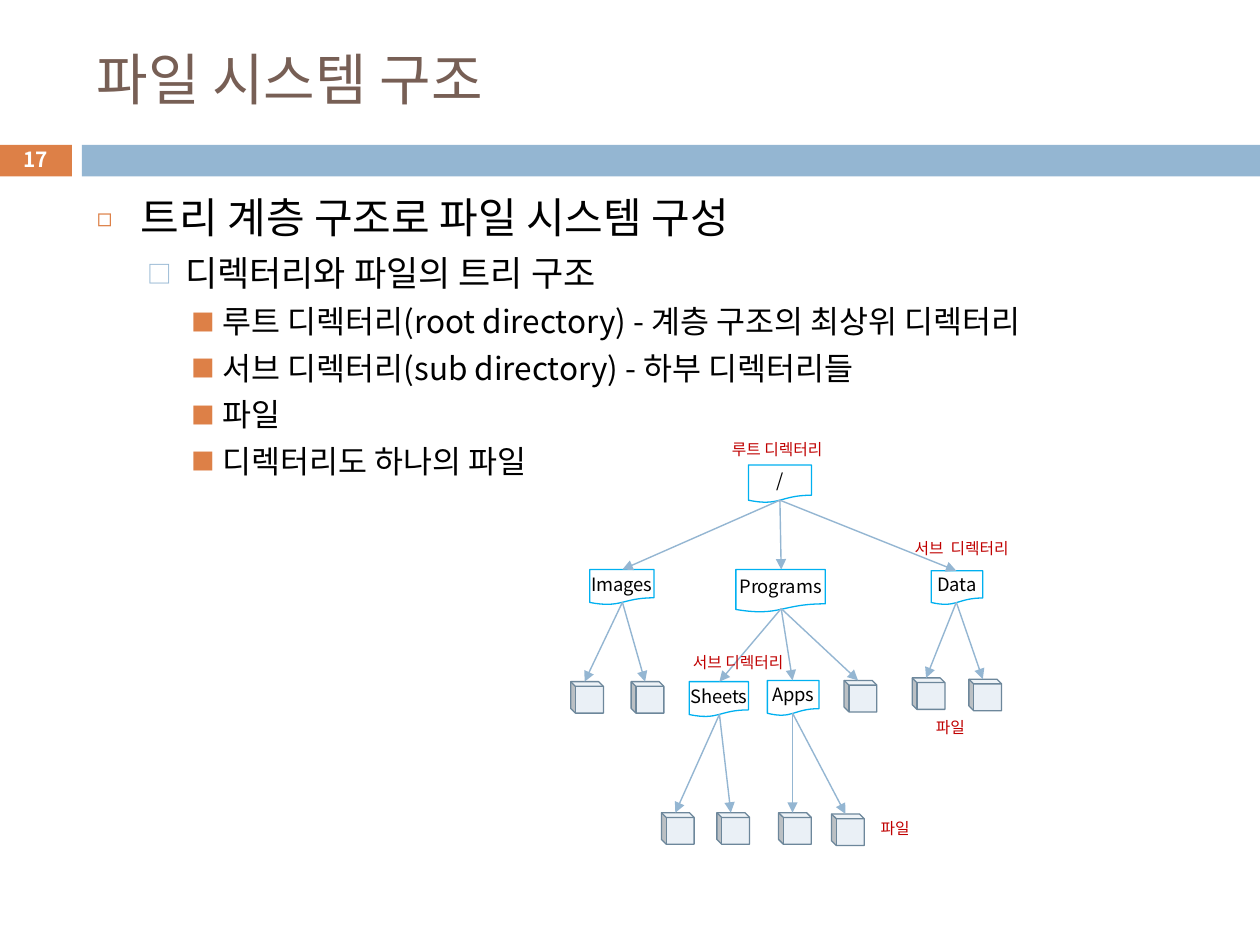
from lxml.etree import SubElement
from pptx import Presentation
from pptx.dml.color import RGBColor
from pptx.enum.shapes import MSO_CONNECTOR, MSO_SHAPE
from pptx.enum.text import MSO_ANCHOR, PP_ALIGN
from pptx.oxml.ns import qn
from pptx.util import Pt

SCALE = 9144
FONT = "Noto Sans CJK KR"
ORANGE, BLUE, RED = "DD8047", "94B6D2", "C00000"
LEVELS = [
    {"size": 24, "left": 35, "hang": 35, "gap": 7, "mark": "◻", "tint": ORANGE, "pct": 60},
    {"size": 20, "left": 70, "hang": 30, "gap": 5.5, "mark": "□", "tint": BLUE, "pct": 70},
    {"size": 18, "left": 100, "hang": 25, "gap": 5, "mark": "■", "tint": ORANGE, "pct": 75},
]
BODY = [
    (0, "트리 계층 구조로 파일 시스템 구성"),
    (1, "디렉터리와 파일의 트리 구조"),
    (2, "루트 디렉터리(root directory) - 계층 구조의 최상위 디렉터리"),
    (2, "서브 디렉터리(sub directory) - 하부 디렉터리들"),
    (2, "파일"),
    (2, "디렉터리도 하나의 파일"),
]
TREE = ("/", (594, 369, 50, 30), [
    ("Images", (468, 452, 51, 28), [(453, 541), (501, 541)]),
    ("Programs", (584, 452, 71, 34), [
        ("Sheets", (547, 541, 47, 28), [(525, 645), (569, 645)]),
        ("Apps", (609, 540, 41, 28), [(618, 645), (660, 646)]),
        (670, 540),
    ]),
    ("Data", (739, 453, 41, 27), [(724, 538), (769, 539)]),
])
LABELS = [
    ("루트 디렉터리", (571, 344, 100, 25)),
    ("서브  디렉터리", (716, 423, 105, 25)),
    ("파일", (733, 565, 45, 25)),
    ("서브 디렉터리", (540, 513, 100, 25)),
    ("파일", (689, 645, 45, 25)),
]


def px(*nums):
    """Turn px into EMU."""
    return [num * SCALE for num in nums]


def color(code):
    """Turn a hex string into a colour."""
    return RGBColor.from_string(code)


def apply(item, values):
    """Set each named value on the item."""
    for name, value in values.items():
        setattr(item, name, value)


class Page:
    """Draws styled elements on one slide."""

    def __init__(self, slide):
        """Keep the slide's shapes and the font."""
        self.shapes = slide.shapes
        self.font = FONT

    def group(self):
        """Send what follows into a new group."""
        self.shapes = self.shapes.add_group_shape().shapes

    def words(self, para, text, size, code="000000", bold=False):
        """Add a styled run to a paragraph."""
        run = para.add_run()
        run.text = text
        apply(run.font, {"name": self.font, "size": Pt(size), "bold": bold})
        run.font.color.rgb = color(code)
        SubElement(run._r.get_or_add_rPr(), qn("a:ea"), typeface=self.font)

    def shape(self, kind, box, fill=None, edge=None):
        """Add a preset shape."""
        shape = self.shapes.add_shape(kind, *px(*box))
        shape.shadow.inherit = False
        if fill:
            shape.fill.solid()
            shape.fill.fore_color.rgb = color(fill)
        else:
            shape.fill.background()
        if edge:
            shape.line.color.rgb = color(edge)
            shape.line.width = Pt(0.75)
        else:
            shape.line.fill.background()
        return shape

    def text(self, box, text, size, code, wrap=True, bold=False,
             anchor=MSO_ANCHOR.MIDDLE, align=PP_ALIGN.LEFT):
        """Add a text box with one line."""
        frame = self.shapes.add_textbox(*px(*box)).text_frame
        apply(frame, {"word_wrap": wrap, "vertical_anchor": anchor})
        para = frame.paragraphs[0]
        para.alignment = align
        self.words(para, text, size, code, bold)

    def bullets(self, box, rows):
        """Add a text box of bulleted levels."""
        frame = self.shapes.add_textbox(*px(*box)).text_frame
        frame.word_wrap = True
        for num, (level, text) in enumerate(rows):
            look = LEVELS[level]
            para = frame.add_paragraph() if num else frame.paragraphs[0]
            apply(para, {"level": level, "space_before": Pt(look["gap"])})
            props = para._p.get_or_add_pPr()
            left, hang = px(look["left"], -look["hang"])
            props.set("marL", str(left))
            props.set("indent", str(hang))
            tint = SubElement(props, qn("a:buClr"))
            SubElement(tint, qn("a:srgbClr"), val=look["tint"])
            SubElement(props, qn("a:buSzPct"), val=str(look["pct"] * 1000))
            SubElement(props, qn("a:buFont"), typeface=self.font)
            SubElement(props, qn("a:buChar"), char=look["mark"])
            self.words(para, text, look["size"])

    def folder(self, box, name):
        """Add a named directory."""
        frame = self.shape(MSO_SHAPE.FLOWCHART_DOCUMENT, box, edge="00B0F0").text_frame
        sides = ("left", "right", "top", "bottom")
        apply(frame, {f"margin_{side}": 0 for side in sides})
        apply(frame, {"word_wrap": False, "vertical_anchor": MSO_ANCHOR.MIDDLE})
        frame.paragraphs[0].alignment = PP_ALIGN.CENTER
        self.words(frame.paragraphs[0], name, 10.5)

    def file(self, left, top):
        """Add a file as a mirrored cube."""
        cube = self.shape(MSO_SHAPE.CUBE, (left, top, 26, 25), "EAF0F6", "6D879B")
        cube.adjustments[0] = 0.15
        cube._element.spPr.find(qn("a:xfrm")).set("flipH", "1")

    def arrow(self, start, end):
        """Add an arrow between two points."""
        line = self.shapes.add_connector(MSO_CONNECTOR.STRAIGHT, *px(*start, *end))
        line.line.color.rgb = color(BLUE)
        line.line.width = Pt(0.79)
        props = line._element.spPr
        SubElement(props.find(qn("a:ln")), qn("a:tailEnd"), type="triangle")
        SubElement(props, qn("a:effectLst"))

    def tree(self, node):
        """Draw a node and all below it, and return its top point."""
        if len(node) == 2:
            left, top = node
            self.file(left, top)
            return left + 11, top
        name, box, kids = node
        left, top, wide, high = box
        self.folder(box, name)
        mid = left + round(wide / 2)
        for kid in kids:
            self.arrow((mid, top + round(high * 0.92)), self.tree(kid))
        return mid, top


def main():
    """Build the slide and save it."""
    deck = Presentation()
    deck.slide_width, deck.slide_height = px(1000, 750)
    page = Page(deck.slides.add_slide(deck.slide_layouts[6]))
    page.shape(MSO_SHAPE.RECTANGLE, (-1, 115, 58, 25), ORANGE)
    page.shape(MSO_SHAPE.RECTANGLE, (65, 115, 935, 25), BLUE)
    page.text((67, 25, 892, 74), "파일 시스템 구조", 32, "775F55")
    page.bullets((67, 147, 892, 258), BODY)
    page.text((-1, 113, 58, 27), "17", 11.9, "FFFFFF", bold=True, align=PP_ALIGN.CENTER)
    page.group()
    page.tree(TREE)
    for text, box in LABELS:
        page.text(box, text, 9, RED, wrap=False, anchor=MSO_ANCHOR.TOP)
    deck.save("out.pptx")


if __name__ == "__main__":
    main()
